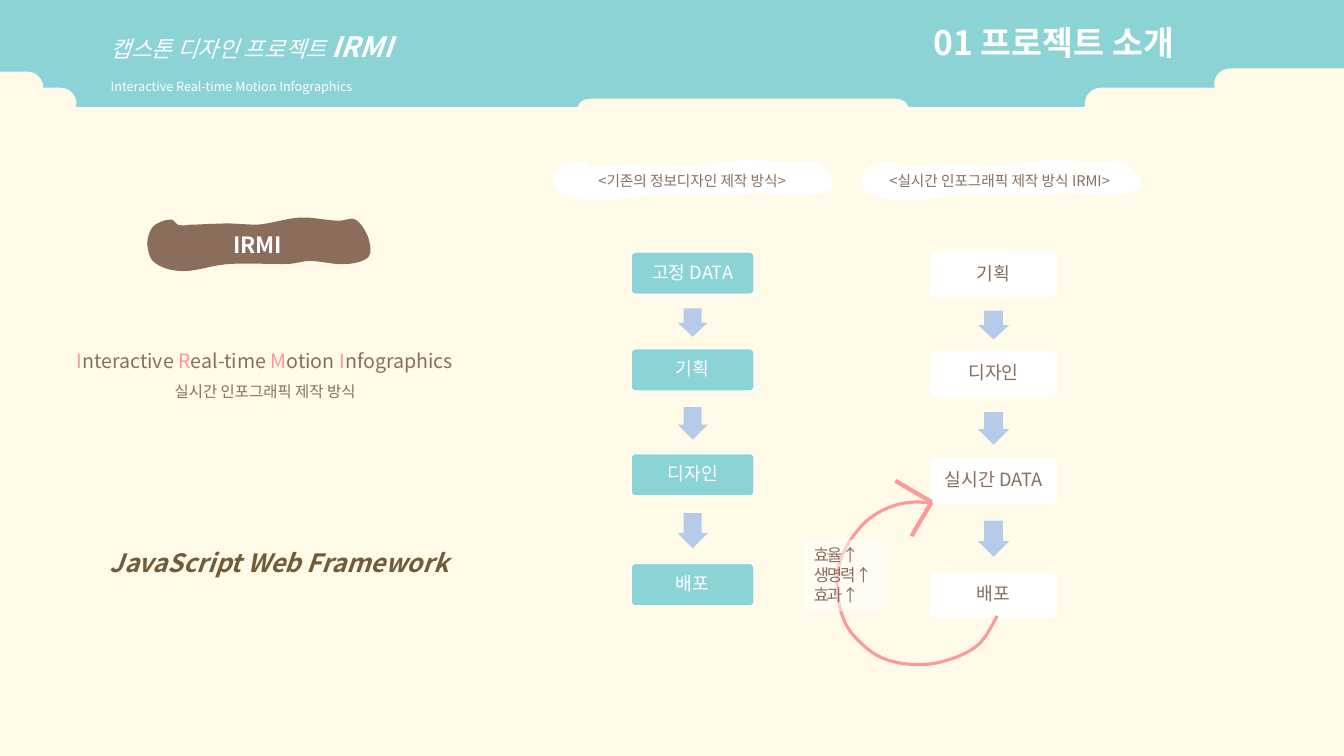
import pptx
import pptx.util
import pptx.dml.color
import pptx.enum.shapes
import pptx.enum.text
import pptx.oxml.ns
import lxml.etree

Inches = pptx.util.Inches
Pt = pptx.util.Pt
SHAPE = pptx.enum.shapes.MSO_SHAPE
ALIGN = pptx.enum.text.PP_ALIGN
ANCHOR = pptx.enum.text.MSO_ANCHOR
AUTO = pptx.enum.text.MSO_AUTO_SIZE
qn = pptx.oxml.ns.qn

FONT = "Noto Sans CJK KR"
CREAM, TEAL, BROWN, WHITE = "FFFBE8", "8CD3D5", "8A6E5B", "FFFFFF"
PINK, BLUE, DARK = "FF9999", "B5CBE7", "725B3A"

BLOB_SIZE = (2.77, 0.53)
BLOB = [
    (0.07, 0.09), (0.03, 0.13, 0, 0.2, 0, 0.26), (0.01, 0.32, 0.02, 0.41, 0.1, 0.45),
    (0.18, 0.5, 0.31, 0.53, 0.46, 0.53), (0.62, 0.53, 0.81, 0.47, 1.02, 0.46),
    (1.22, 0.45, 1.47, 0.46, 1.7, 0.46), (1.87, 0.46, 1.9, 0.43, 2.03, 0.43),
    (2.16, 0.43, 2.34, 0.47, 2.46, 0.46), (2.58, 0.46, 2.7, 0.43, 2.75, 0.39),
    (2.8, 0.35, 2.77, 0.27, 2.75, 0.2), (2.72, 0.14, 2.66, 0.05, 2.59, 0.02),
    (2.53, -0.01, 2.49, 0.03, 2.37, 0.03), (2.25, 0.03, 2.05, -0.01, 1.88, 0),
    (1.72, 0.01, 1.53, 0.06, 1.37, 0.07), (1.21, 0.07, 1.04, 0.05, 0.9, 0.06),
    (0.76, 0.06, 0.65, 0.07, 0.53, 0.07), (0.44, 0.08, 0.42, 0.08, 0.38, 0.07),
    (0.34, 0.05, 0.33, 0.01, 0.28, 0.02), (0.22, 0.02, 0.12, 0.05, 0.07, 0.09),
]
HEADER = [
    (0, 0), (13.33, 0), (13.33, 0.68), (12.2, 0.68), (12.11, 0.68, 12.04, 0.75, 12.04, 0.84),
    (12.05, 0.87), (10.92, 0.87), (10.83, 0.87, 10.76, 0.94, 10.76, 1.03), (10.76, 1.06),
    (9.01, 1.06), (8.99, 1.02), (8.96, 0.99, 8.92, 0.98, 8.88, 0.98), (5.86, 0.98),
    (5.81, 0.98, 5.78, 0.99, 5.75, 1.02), (5.73, 1.06), (0.75, 1.06), (0.76, 1.03),
    (0.76, 0.94, 0.69, 0.87, 0.6, 0.87), (0.43, 0.87), (0.43, 0.78, 0.36, 0.71, 0.27, 0.71),
    (0, 0.71),
]
LOOP = [
    (9.89, 6.11), (9.83, 6.22, 9.79, 6.31, 9.71, 6.39), (9.63, 6.46, 9.51, 6.52, 9.39, 6.55),
    (9.28, 6.59, 9.15, 6.6, 9.02, 6.59), (8.9, 6.58, 8.77, 6.55, 8.66, 6.48),
    (8.55, 6.4, 8.42, 6.28, 8.37, 6.15), (8.31, 6.01, 8.29, 5.8, 8.31, 5.65),
    (8.34, 5.5, 8.42, 5.36, 8.51, 5.26), (8.59, 5.15, 8.72, 5.07, 8.83, 5.03),
    (8.95, 4.98, 9.1, 4.97, 9.21, 4.99),
]


def rgb(color):
    return pptx.dml.color.RGBColor.from_string(color)


def paint(shape, fill=None, line=None, width=1):
    shape.shadow.inherit = False
    if fill:
        shape.fill.solid()
        shape.fill.fore_color.rgb = rgb(fill)
    else:
        shape.fill.background()
    if line:
        shape.line.color.rgb = rgb(line)
        shape.line.width = Pt(width)
    else:
        shape.line.fill.background()


def set_font(font, size, color, bold=False, italic=False):
    font.name, font.size, font.bold, font.italic = FONT, Pt(size), bold, italic
    font.color.rgb = rgb(color)
    east = lxml.etree.Element(qn("a:ea"), typeface=FONT)
    font._element.find(qn("a:latin")).addnext(east)


def write(para, text, size, color, align=ALIGN.LEFT, spacing=None, bold=False, italic=False):
    para.text = text
    para.alignment = align
    para.line_spacing = spacing
    set_font(para.font, size, color, bold, italic)


def add_text(page, left, top, width, height):
    box = page.shapes.add_textbox(Inches(left), Inches(top), Inches(width), Inches(height))
    box.text_frame.word_wrap = True
    box.text_frame.auto_size = AUTO.SHAPE_TO_FIT_TEXT
    return box.text_frame


def add_outline(page, segments, left=0, top=0, scale=(1, 1), close=True):
    placed = [[(Inches(left + x * scale[0]), Inches(top + y * scale[1]))
               for x, y in zip(segment[::2], segment[1::2])] for segment in segments]
    ends = [points[-1] for points in placed]
    builder = page.shapes.build_freeform(*ends[0])
    builder.add_line_segments(ends[1:], close=close)
    outline = builder.convert_to_shape()
    straights = list(outline._element.iter(qn("a:lnTo")))
    for straight, points in zip(straights, placed[1:]):
        if len(points) == 3:
            curve = lxml.etree.Element(qn("a:cubicBezTo"))
            for x, y in points:
                lxml.etree.SubElement(curve, qn("a:pt"), x=str(x - outline.left),
                                      y=str(y - outline.top))
            straight.getparent().replace(straight, curve)
    return outline


def add_blob(page, left, top, width, height, fill, text, size, color, bold=False):
    blob = add_outline(page, BLOB, left, top, (width / BLOB_SIZE[0], height / BLOB_SIZE[1]))
    paint(blob, fill)
    blob.text_frame.vertical_anchor = ANCHOR.MIDDLE
    write(blob.text_frame.paragraphs[0], text, size, color, ALIGN.CENTER, bold=bold)


def add_header(page):
    header = add_outline(page, HEADER)
    paint(header, TEAL)
    frame = header.text_frame
    frame.vertical_anchor = ANCHOR.MIDDLE
    title, subtitle = frame.paragraphs[0], frame.add_paragraph()
    title.line_spacing = 1.5
    for text, size, bold in (("캡스톤 디자인 프로젝트 ", 16, False), ("IRMI", 20, True)):
        span = title.add_run()
        span.text = text
        set_font(span.font, size, WHITE, bold, True)
    write(subtitle, "Interactive Real-time Motion Infographics", 9, WHITE, spacing=2)
    for para in (title, subtitle):
        para.alignment = ALIGN.LEFT
        para.level = 2
        properties = para._p.get_or_add_pPr()
        properties.set("marL", str(Inches(1)))
        properties.set("indent", "0")


def add_flow(page, left, tops, labels, width, height, arrow_width, fill, color):
    flow = page.shapes.add_group_shape()
    middle = left + width / 2
    for index, (top, label) in enumerate(zip(tops, labels)):
        if index:
            bottom = tops[index - 1] + height
            length = 0.52 * (top - bottom)
            arrow = flow.shapes.add_shape(
                SHAPE.DOWN_ARROW, Inches(middle - arrow_width / 2),
                Inches((bottom + top - length) / 2 + 0.01), Inches(arrow_width), Inches(length))
            arrow.adjustments[0], arrow.adjustments[1] = 0.6, 0.5
            paint(arrow, BLUE)
        box = flow.shapes.add_shape(SHAPE.ROUNDED_RECTANGLE, Inches(left), Inches(top),
                                    Inches(width), Inches(height))
        box.adjustments[0] = 0.1
        paint(box, fill, WHITE)
        frame = box.text_frame
        frame.margin_left = frame.margin_right = Inches(0.05)
        frame.margin_top = frame.margin_bottom = Inches(0.05)
        write(frame.paragraphs[0], label, 13, color, ALIGN.CENTER, 0.9)


def add_line(page, start, end):
    line = page.shapes.add_connector(pptx.enum.shapes.MSO_CONNECTOR.STRAIGHT,
                                     *(Inches(value) for value in start + end))
    line.line.color.rgb = rgb(PINK)
    line.line.width = Pt(3)
    lxml.etree.SubElement(line._element.spPr, qn("a:effectLst"))


def add_benefits(page):
    box = page.shapes.add_shape(SHAPE.RECTANGLE, Inches(7.97), Inches(5.35),
                                Inches(0.82), Inches(0.71))
    paint(box, WHITE)
    tint = box._element.spPr.find(qn("a:solidFill"))[0]
    lxml.etree.SubElement(tint, qn("a:alpha"), val="50000")
    frame = box.text_frame
    frame.word_wrap = False
    frame.auto_size = AUTO.SHAPE_TO_FIT_TEXT
    frame.vertical_anchor = ANCHOR.TOP
    for index, text in enumerate(("효율 ↑", "생명력 ↑", "효과 ↑")):
        para = frame.add_paragraph() if index else frame.paragraphs[0]
        write(para, text, 12, BROWN)
        para.runs[0].font._element.set("spc", "-150")


def add_meaning(page):
    frame = add_text(page, 0.66, 3.3, 3.94, 0.98)
    para = frame.paragraphs[0]
    write(para, "", 14, BROWN, spacing=1.5)
    for word in ("Interactive ", "Real-time ", "Motion ", "Infographics"):
        for text, color in ((word[0], PINK), (word[1:], BROWN)):
            span = para.add_run()
            span.text = text
            span.font.color.rgb = rgb(color)
    write(frame.add_paragraph(), "실시간 인포그래픽 제작 방식", 11, BROWN, ALIGN.CENTER, 1.5)


def main():
    deck = pptx.Presentation()
    deck.slide_width, deck.slide_height = Inches(13.33), Inches(7.5)
    page = deck.slides.add_slide(deck.slide_layouts[6])
    page.background.fill.solid()
    page.background.fill.fore_color.rgb = rgb(CREAM)

    add_header(page)
    write(add_text(page, 9.16, 0.17, 3.52, 0.5).paragraphs[0],
          "01 프로젝트 소개", 24, WHITE, bold=True)
    add_blob(page, 1.46, 2.16, 2.21, 0.53, BROWN, "IRMI", 16, WHITE, True)
    add_meaning(page)
    write(add_text(page, 0.99, 5.38, 3.96, 0.4).paragraphs[0],
          "JavaScript Web Framework", 18, DARK, bold=True, italic=True)

    for left, text in ((5.49, "<기존의 정보디자인 제작 방식>"),
                       (8.54, "<실시간 인포그래픽 제작 방식 IRMI>")):
        add_blob(page, left, 1.59, 2.77, 0.4, WHITE, text, 10.5, BROWN)
    add_flow(page, 6.26, (2.5, 3.46, 4.5, 5.59), ("고정 DATA", "기획", "디자인", "배포"),
             1.22, 0.42, 0.3, TEAL, WHITE)
    add_flow(page, 9.23, (2.5, 3.49, 4.55, 5.68), ("기획", "디자인", "실시간 DATA", "배포"),
             1.25, 0.44, 0.31, WHITE, BROWN)

    paint(add_outline(page, LOOP, close=False), line=PINK, width=2.25)
    for end in ((8.88, 4.77), (9.04, 5.32)):
        add_line(page, (9.24, 4.98), end)
    add_benefits(page)
    deck.save("out.pptx")


if __name__ == "__main__":
    main()
